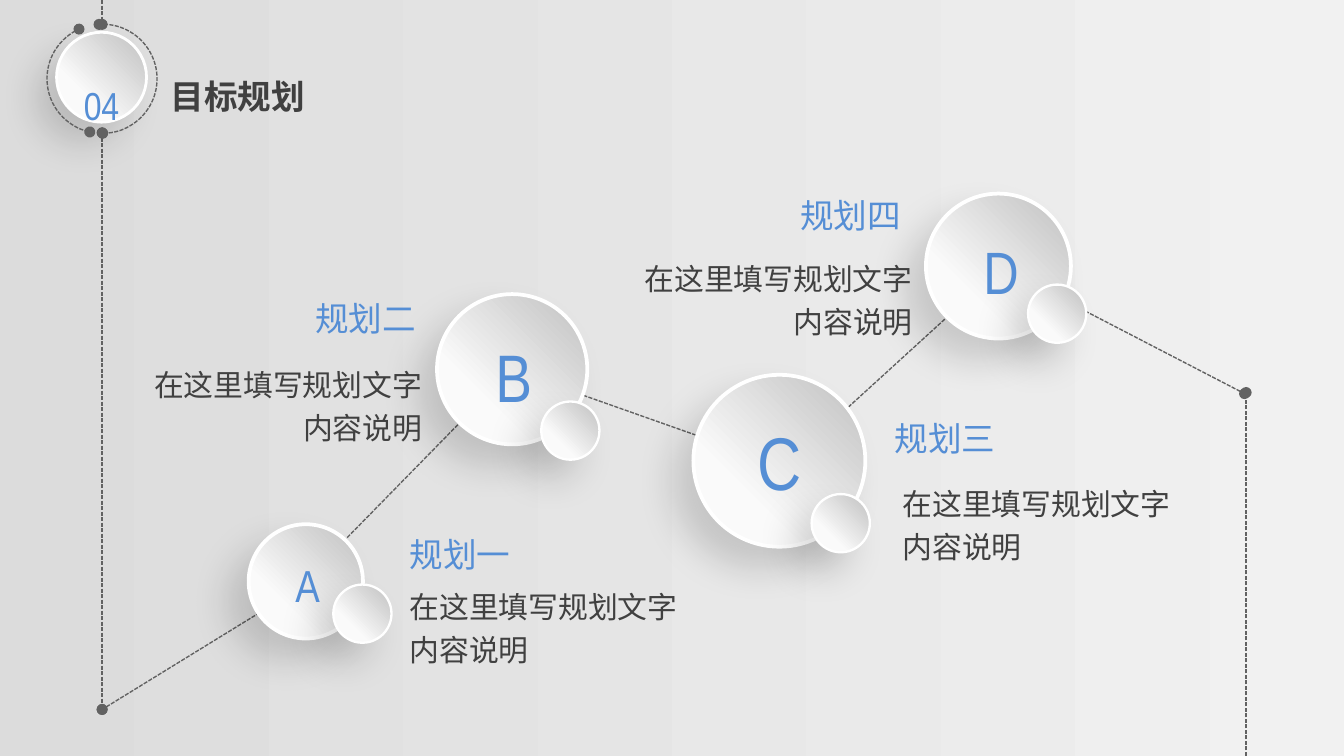
"""Build the goal planning slide: four lettered goals along a dashed route."""
import pptx
import pptx.dml.color
import pptx.enum.dml
import pptx.enum.shapes
import pptx.enum.text
import pptx.oxml
import pptx.oxml.ns
import pptx.util
from lxml import etree

Cm = pptx.util.Cm
Pt = pptx.util.Pt
RGBColor = pptx.dml.color.RGBColor
SHAPE = pptx.enum.shapes.MSO_SHAPE
ALIGN = pptx.enum.text.PP_ALIGN
ANCHOR = pptx.enum.text.MSO_ANCHOR
qn = pptx.oxml.ns.qn

BLUE = RGBColor(0x55, 0x8E, 0xD5)
DARK = RGBColor(0x40, 0x40, 0x40)
GREY = RGBColor(0x62, 0x62, 0x62)
WHITE = RGBColor(0xFF, 0xFF, 0xFF)
DISC_DARK = RGBColor(0xBF, 0xBF, 0xBF)
DISC_LIGHT = RGBColor(0xFA, 0xFA, 0xFA)
PAGE_LEFT = RGBColor(0xDC, 0xDC, 0xDC)
PAGE_RIGHT = RGBColor(0xF1, 0xF1, 0xF1)

WIDTH, HEIGHT = 25.4, 14.29
TITLE = "目标规划"
NUMBER = "04"
DETAIL = "在这里填写规划文字内容说明"
HEADING_SIZE = (4.83, 1.07)
DETAIL_SIZE = (5.99, 1.9)
BEAD = 1.1

GOALS = [
    dict(letter="A", size=24, centre=(5.78, 10.99), disc=2.16, letter_at=(5.78, 11.05),
         bead_at=(6.85, 11.6), heading="规划一", heading_at=(7.49, 9.96),
         detail_at=(7.49, 10.87), align=ALIGN.LEFT),
    dict(letter="B", size=36, centre=(9.68, 6.98), disc=2.84, letter_at=(9.68, 7.1),
         bead_at=(10.78, 8.14), heading="规划二", heading_at=(3.28, 5.51),
         detail_at=(2.24, 6.68), align=ALIGN.RIGHT),
    dict(letter="C", size=40, centre=(14.73, 8.71), disc=3.25, letter_at=(14.67, 8.7),
         bead_at=(15.89, 9.89), heading="规划三", heading_at=(16.66, 7.77),
         detail_at=(16.81, 8.92), align=ALIGN.LEFT),
    dict(letter="D", size=32, centre=(18.87, 5.03), disc=2.74, letter_at=(18.86, 5.11),
         bead_at=(19.98, 5.93), heading="规划四", heading_at=(12.45, 3.56),
         detail_at=(11.51, 4.67), align=ALIGN.RIGHT),
]

ROUTE = [
    ((23.52, 7.44), (18.87, 5.03), "both"),
    ((1.93, 13.41), (5.77, 11.05), "both"),
    ((5.77, 10.97), (9.68, 6.98), "both"),
    ((14.81, 8.81), (9.63, 6.98), "both"),
    ((19.46, 4.57), (14.81, 8.81), "both"),
    ((1.93, 2.51), (1.93, 13.41), "both"),
    ((23.55, HEIGHT), (23.55, 7.42), "tail"),
    ((1.93, 0), (1.93, 0.46), "tail"),
]

BADGE_ARCS = [((0.89, 0.46), (176.63, 46.57), True), ((0.91, 0.46), (159.78, 53.9), False)]

LETTER = dict(name="Arial Narrow", color=BLUE)
HEADING = dict(name="Noto Sans CJK JP", size=Pt(18), color=BLUE)
BODY = dict(name="Noto Sans CJK SC", size=Pt(16), color=DARK)
TITLE_FONT = dict(name="Noto Sans CJK SC", size=Pt(18), bold=True, color=DARK)
FIT = dict(auto_size=pptx.enum.text.MSO_AUTO_SIZE.SHAPE_TO_FIT_TEXT)
WRAPPED = dict(FIT, word_wrap=True, vertical_anchor=ANCHOR.TOP)
ONE_LINE = dict(FIT, word_wrap=False, vertical_anchor=ANCHOR.TOP)
CENTRED = dict(FIT, word_wrap=False, vertical_anchor=ANCHOR.MIDDLE)
DASHED = dict(width=Pt(0.75), dash_style=pptx.enum.dml.MSO_LINE.SQUARE_DOT)


def apply(target, values):
    for name, value in values.items():
        setattr(target, name, value)


def write(frame, text, font, frame_format, **paragraph_format):
    apply(frame, frame_format)
    paragraph = frame.paragraphs[0]
    apply(paragraph, paragraph_format)
    run = paragraph.add_run()
    run.text = text
    apply(run.font, {key: value for key, value in font.items() if key != "color"})
    run.font.color.rgb = font["color"]
    properties = run._r.get_or_add_rPr()
    etree.SubElement(properties, qn("a:ea")).set("typeface", font["name"])
    return properties


def add_text(shapes, place, size, *content, **paragraph_format):
    box = shapes.add_textbox(*map(Cm, (*place, *size)))
    return write(box.text_frame, *content, **paragraph_format)


def shade(fill, colours, end, angle):
    fill.gradient()
    fill.gradient_angle = angle
    for stop, colour, position in zip(fill.gradient_stops, colours, (0, end)):
        stop.color.rgb = colour
        stop.position = position


def dash(shape, ends):
    shape.line.color.rgb = GREY
    apply(shape.line, DASHED)
    outline = shape.element.spPr.find(qn("a:ln"))
    for end in ("head", "tail"):
        if ends in (end, "both"):
            etree.SubElement(outline, qn(f"a:{end}End")).set("type", "oval")


def add_disc(shapes, centre, diameter, border):
    corner = [middle - diameter / 2 for middle in centre]
    disc = shapes.add_shape(SHAPE.OVAL, *map(Cm, (*corner, diameter, diameter)))
    shade(disc.fill, (DISC_DARK, DISC_LIGHT), 0.7, 225)
    disc.line.color.rgb = WHITE
    disc.line.width = Pt(border)
    disc.shadow.inherit = False
    effects = disc.element.spPr.find(qn("a:effectLst"))
    shadow = etree.SubElement(effects, qn("a:outerShdw"), blurRad=str(Pt(20)), dist=str(Pt(15)),
                              dir="8100000", algn="tr", rotWithShape="0")
    colour = etree.SubElement(shadow, qn("a:srgbClr"), val="000000")
    etree.SubElement(colour, qn("a:alpha"), val="15000")


def add_badge(slide):
    shapes = slide.shapes.add_group_shape().shapes
    add_disc(shapes, (1.92, 1.46), 1.7, 1.5)
    for place, angles, flipped in BADGE_ARCS:
        arc = shapes.add_shape(SHAPE.ARC, *map(Cm, (*place, 2.06, 2.06)))
        for index, angle in enumerate(angles):
            arc.adjustments[index] = angle
        if flipped:
            arc.element.spPr.find(qn("a:xfrm")).set("flipH", "1")
        arc.fill.background()
        arc.shadow.inherit = False
        dash(arc, "both")
    number = add_text(shapes, (1.22, 0.74), (1.4, 1.6), NUMBER, dict(LETTER, size=Pt(36)),
                      CENTRED, alignment=ALIGN.CENTER, line_spacing=1.5)
    number.set("baseline", "12000")


def main():
    deck = pptx.Presentation()
    deck.slide_width, deck.slide_height = Cm(WIDTH), Cm(HEIGHT)
    slide = deck.slides.add_slide(deck.slide_layouts[5])
    shapes = slide.shapes
    shade(slide.background.fill, (PAGE_LEFT, PAGE_RIGHT), 1, 0)

    title = shapes.title
    apply(title, dict(left=Cm(2.97), top=Cm(1.3), width=Cm(3.07), height=Cm(1.02)))
    write(title.text_frame, TITLE, TITLE_FONT, ONE_LINE, alignment=ALIGN.LEFT)

    for start, finish, ends in ROUTE:
        leg = shapes.add_connector(pptx.enum.shapes.MSO_CONNECTOR.STRAIGHT,
                                   *map(Cm, (*start, *finish)))
        dash(leg, ends)
        etree.SubElement(leg.element.spPr, qn("a:effectLst"))

    for goal in GOALS:
        add_disc(shapes, goal["centre"], goal["disc"], 2)
    for goal in GOALS:
        add_disc(shapes, goal["bead_at"], BEAD, 1.25)
    add_badge(slide)

    for goal in GOALS:
        points, align = goal["size"], goal["align"]
        size = (0.41 + points * 0.02, 0.25 + points * 0.04)
        corner = [middle - length / 2 for middle, length in zip(goal["letter_at"], size)]
        add_text(shapes, corner, size, goal["letter"], dict(LETTER, size=Pt(points)),
                 CENTRED, alignment=ALIGN.CENTER)
        add_text(shapes, goal["heading_at"], HEADING_SIZE, goal["heading"], HEADING,
                 WRAPPED, alignment=align)
        add_text(shapes, goal["detail_at"], DETAIL_SIZE, DETAIL, BODY,
                 WRAPPED, alignment=align, line_spacing=1.2)

    deck.save("out.pptx")


if __name__ == "__main__":
    main()
